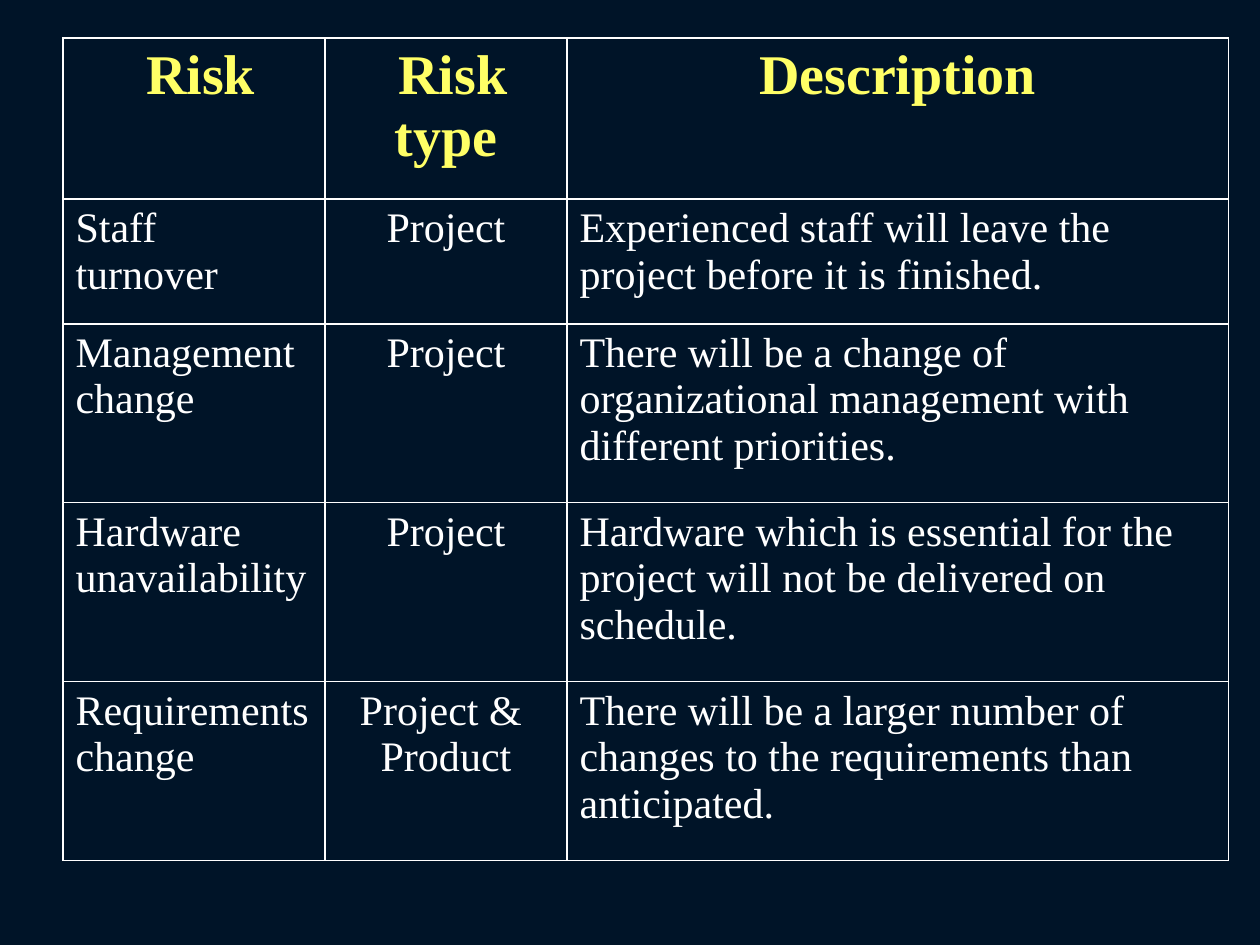
from dataclasses import dataclass

from lxml import etree
from pptx import Presentation
from pptx import util as u
from pptx.dml.color import RGBColor
from pptx.enum import text
from pptx.oxml.ns import qn


@dataclass(frozen=True)
class Theme:
    font: str = "Times New Roman"
    background: str = "001428"
    heading: str = "FFFF66"
    body: str = "FFFFFF"
    border: str = "FFFFFF"
    heading_size: int = 32
    body_size: int = 24
    border_width: int = 1


THEME = Theme()
LEFT, CENTER = text.PP_ALIGN.LEFT, text.PP_ALIGN.CENTER

# Each line of a cell is a paragraph of its own.
HEADINGS = ("Risk", " Risk\ntype", "Description")
RISKS = [
    ("Staff\nturnover", "Project",
     "Experienced staff will leave the\nproject before it is finished."),
    ("Management\nchange", "Project",
     "There will be a change of\norganizational management with\ndifferent priorities."),
    ("Hardware\nunavailability", "Project",
     "Hardware which is essential for the project will not be delivered on schedule."),
    ("Requirements\nchange", "Project & \nProduct",
     "There will be a larger number of\nchanges to the requirements than anticipated."),
]

SLIDE_WIDTH, SLIDE_HEIGHT = 10, 7.5
TABLE_LEFT, TABLE_TOP = 0.05 * SLIDE_WIDTH, 0.04 * SLIDE_HEIGHT
COLUMN_WIDTHS = (2.08, 1.92, 5.25)
ROW_HEIGHTS = (1.28, 0.99, 1.42, 1.42, 1.42)
HEADING_ALIGNS = (LEFT, CENTER, CENTER)
BODY_ALIGNS = (LEFT, CENTER, LEFT)
HEADING_INDENTS = (0.56, 0, 0)
BODY_INDENTS = (0, 0, 0)


def write(cell, content, *, size, color, bold, align, indent):
    frame = cell.text_frame
    frame.text = content
    for para in frame.paragraphs:
        if indent:
            para._p.get_or_add_pPr().set("marL", str(u.Inches(indent)))
        para.alignment = align
        para.font.name = THEME.font
        para.font.size = u.Pt(size)
        para.font.bold = bold
        para.font.color.rgb = RGBColor.from_string(color)


def outline(cell):
    """Draw all four borders of a cell; lines must precede the fill in its XML."""
    properties = cell._tc.get_or_add_tcPr()
    for index, side in enumerate(("lnL", "lnR", "lnT", "lnB")):
        line = etree.Element(qn(f"a:{side}"), w=str(u.Pt(THEME.border_width)))
        fill = etree.SubElement(line, qn("a:solidFill"))
        etree.SubElement(fill, qn("a:srgbClr"), val=THEME.border)
        properties.insert(index, line)


def add_risk_table(page):
    rows = [HEADINGS, *RISKS]
    table = page.shapes.add_table(
        len(rows), len(HEADINGS), u.Inches(TABLE_LEFT), u.Inches(TABLE_TOP),
        u.Inches(sum(COLUMN_WIDTHS)), u.Inches(sum(ROW_HEIGHTS))).table
    table.first_row = table.horz_banding = False
    for column, width in zip(table.columns, COLUMN_WIDTHS):
        column.width = u.Inches(width)
    for row, height in zip(table.rows, ROW_HEIGHTS):
        row.height = u.Inches(height)

    for r, contents in enumerate(rows):
        heading = r == 0
        size = THEME.heading_size if heading else THEME.body_size
        color = THEME.heading if heading else THEME.body
        aligns = HEADING_ALIGNS if heading else BODY_ALIGNS
        indents = HEADING_INDENTS if heading else BODY_INDENTS
        for c, content in enumerate(contents):
            cell = table.cell(r, c)
            write(cell, content, size=size, color=color, bold=heading,
                  align=aligns[c], indent=indents[c])
            cell.fill.background()
            outline(cell)


def main():
    deck = Presentation()
    deck.slide_width, deck.slide_height = u.Inches(SLIDE_WIDTH), u.Inches(SLIDE_HEIGHT)
    page = deck.slides.add_slide(deck.slide_layouts.get_by_name("Blank"))
    page.background.fill.solid()
    page.background.fill.fore_color.rgb = RGBColor.from_string(THEME.background)
    add_risk_table(page)
    deck.save("out.pptx")


if __name__ == "__main__":
    main()
